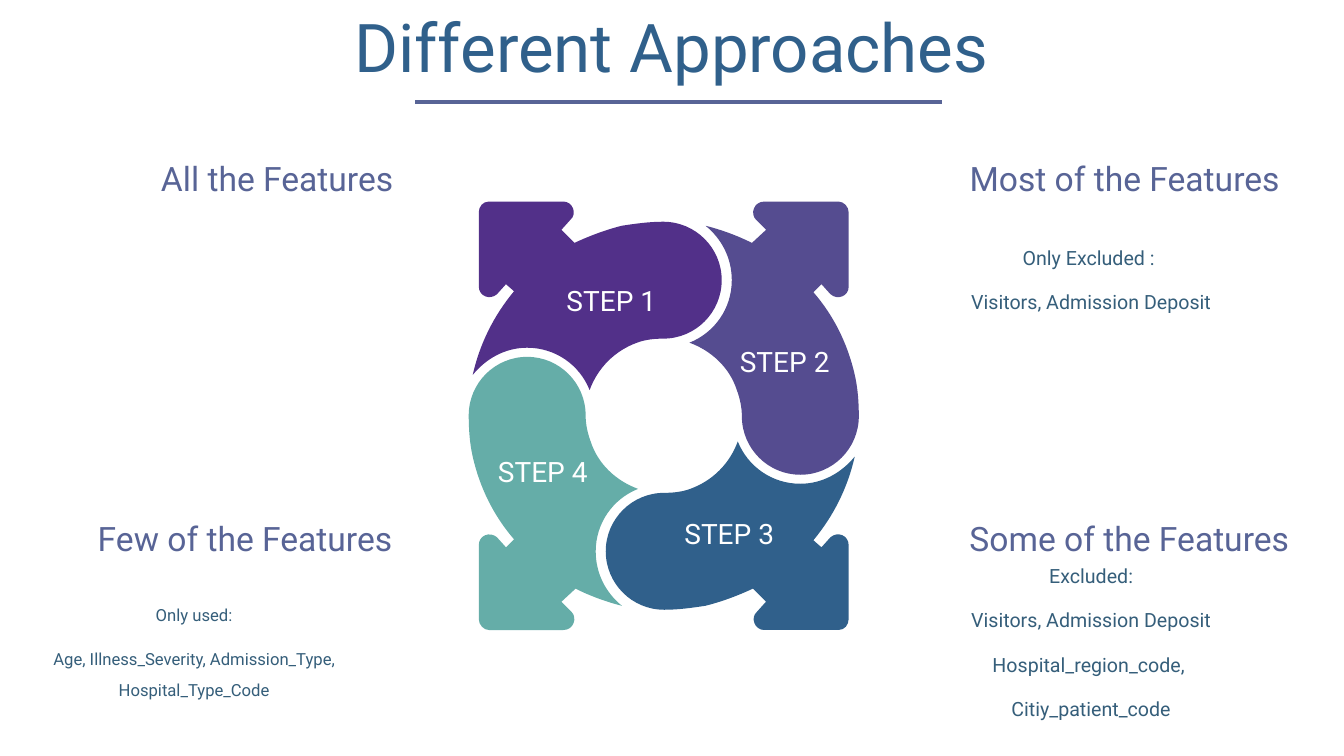
from lxml.etree import SubElement
from pptx import Presentation
from pptx.dml.color import RGBColor
from pptx.enum.shapes import MSO_CONNECTOR
from pptx.enum.text import MSO_ANCHOR, MSO_AUTO_SIZE, PP_ALIGN
from pptx.oxml.ns import qn
from pptx.util import Inches, Pt

COLORS = {
    "purple": "523089", "violet": "554C90", "blue": "30608B", "teal": "65ADA8",
    "heading": "586496", "body": "355E7A", "white": "FFFFFF",
}
FONT = "Roboto"
TITLE = "Different Approaches"
CENTER = (6.585, 4.125)

TOP_LEFT = [
    (6.58, 2.2), (6.44, 2.2, 6.3, 2.22, 6.17, 2.24), (6.01, 2.28, 5.85, 2.34, 5.7, 2.41),
    (5.57, 2.28), (5.66, 2.18), (5.73, 2.12, 5.68, 2, 5.59, 2), (4.85, 2),
    (4.79, 2, 4.75, 2.05, 4.75, 2.11), (4.75, 2.84), (4.75, 2.94, 4.86, 2.98, 4.93, 2.92),
    (5.02, 2.82), (5.1, 2.89), (4.9, 3.13, 4.76, 3.41, 4.69, 3.72),
    (4.82, 3.56, 5.01, 3.45, 5.23, 3.45), (5.51, 3.45, 5.75, 3.62, 5.85, 3.87),
    (5.93, 3.65, 6.1, 3.48, 6.32, 3.4), (6.4, 3.37, 6.49, 3.36, 6.58, 3.36),
    (6.9, 3.36, 7.16, 3.1, 7.16, 2.78), (7.16, 2.46, 6.9, 2.2, 6.58, 2.2),
]
TOP_RIGHT = [
    (8.48, 3.72), (8.41, 3.41, 8.27, 3.13, 8.07, 2.9), (8.15, 2.82), (8.24, 2.92),
    (8.31, 2.98, 8.42, 2.94, 8.42, 2.84), (8.42, 2.11), (8.42, 2.05, 8.37, 2, 8.32, 2),
    (7.58, 2), (7.48, 2, 7.44, 2.12, 7.5, 2.18), (7.6, 2.28), (7.46, 2.41),
    (7.32, 2.34, 7.16, 2.28, 7, 2.24), (7.16, 2.37, 7.26, 2.56, 7.26, 2.78),
    (7.26, 3.06, 7.09, 3.3, 6.84, 3.4), (7.06, 3.48, 7.24, 3.65, 7.31, 3.87),
    (7.34, 3.95, 7.36, 4.04, 7.36, 4.13), (7.36, 4.45, 7.62, 4.71, 7.94, 4.71),
    (8.26, 4.71, 8.52, 4.45, 8.52, 4.13), (8.52, 3.99, 8.51, 3.85, 8.48, 3.72),
]
STEPS = [
    ("STEP 1", TOP_LEFT, False, "purple", (5.49, 2.76)),
    ("STEP 2", TOP_RIGHT, False, "violet", (7.21, 3.37)),
    ("STEP 3", TOP_LEFT, True, "blue", (6.66, 5.07)),
    ("STEP 4", TOP_RIGHT, True, "teal", (4.81, 4.46)),
]
HEADINGS = [
    ("All the Features", (1.42, 1.56, 2.58, 0.38), PP_ALIGN.RIGHT),
    ("Few of the Features", (0.37, 5.13, 3.62, 0.38), PP_ALIGN.RIGHT),
    ("Most of the Features", (9.52, 1.56, 3.51, 0.45), PP_ALIGN.LEFT),
    ("Some of the Features", (9.52, 5.13, 3.44, 0.38), PP_ALIGN.LEFT),
]
BODIES = [
    (["Only Excluded : ", "Visitors, Admission Deposit"], (9.32, 1.88, 3.01, 2.51), 14, 0.49),
    (["Excluded:", "Visitors, Admission Deposit", "Hospital_region_code, ",
      "Citiy_patient_code"], (9.32, 5.48, 3.01, 1.87), 14, 0.05),
    (["Only used:", "Age, Illness_Severity, Admission_Type, Hospital_Type_Code"],
     (0.42, 5.85, 3.01, 1.32), 11.9, 0.05),
]


def rgb(name):
    return RGBColor.from_string(COLORS[name])


def write(sp, lines, size, color, align, spacing=None, before=0, inset=0.05):
    tf = sp.text_frame
    tf.word_wrap = True
    tf.auto_size = MSO_AUTO_SIZE.NONE
    tf.vertical_anchor = MSO_ANCHOR.TOP
    tf.margin_top = Inches(inset)
    for i, line in enumerate(lines):
        p = tf.add_paragraph() if i else tf.paragraphs[0]
        p.alignment = align
        p.line_spacing = spacing
        p.space_before = Pt(before)
        r = p.add_run()
        r.text = line
        r.font.name = FONT
        r.font.size = Pt(size)
        r.font.color.rgb = rgb(color)


def add_text(s, box, *args):
    write(s.shapes.add_textbox(*map(Inches, box)), *args)


def place(edge, turned):
    points = list(zip(edge[::2], edge[1::2]))
    if turned:
        points = [(2 * CENTER[0] - x, 2 * CENTER[1] - y) for x, y in points]
    return [(Inches(x), Inches(y)) for x, y in points]


def add_step(ring, outline, turned, color):
    edges = [place(edge, turned) for edge in outline]
    builder = ring.shapes.build_freeform(*edges[0][0])
    builder.add_line_segments([edge[-1] for edge in edges[1:]], close=True)
    sp = builder.convert_to_shape()
    segments = list(sp._element.iter(qn("a:lnTo")))
    for segment, edge in zip(segments, edges[1:]):
        if len(edge) == 3:
            segment.tag = qn("a:cubicBezTo")
            for i, (x, y) in enumerate(edge[:2]):
                pt = SubElement(segment, qn("a:pt"), x=str(x - sp.left), y=str(y - sp.top))
                segment.insert(i, pt)
    sp.shadow.inherit = False
    sp.fill.solid()
    sp.fill.fore_color.rgb = rgb(color)
    sp.line.fill.background()


def main():
    prs = Presentation()
    prs.slide_width, prs.slide_height = Inches(40 / 3), Inches(7.5)
    s = prs.slides.add_slide(prs.slide_layouts[5])

    title = s.shapes.title
    title.left, title.top, title.width, title.height = map(Inches, (3.03, 0, 7.26, 0.91))
    write(title, [TITLE], 48, "blue", PP_ALIGN.CENTER)

    ring = s.shapes.add_group_shape()
    for label, outline, turned, color, corner in STEPS:
        add_step(ring, outline, turned, color)
        add_text(s, (*corner, 1.15, 0.44), [label], 20, "white", PP_ALIGN.CENTER)

    rule = s.shapes.add_connector(
        MSO_CONNECTOR.STRAIGHT, *map(Inches, (4.12, 1.01, 9.35, 1.01)))
    rule.line.color.rgb = rgb("heading")
    rule.line.width = Pt(3)
    SubElement(rule._element.spPr, qn("a:effectLst"))

    for heading, box, align in HEADINGS:
        add_text(s, box, [heading], 24, "heading", align, 0.9, 10)
    for lines, box, size, inset in BODIES:
        add_text(s, box, lines, size, "body", PP_ALIGN.CENTER, Pt(21.6), 10, inset)

    prs.save("out.pptx")


if __name__ == "__main__":
    main()
